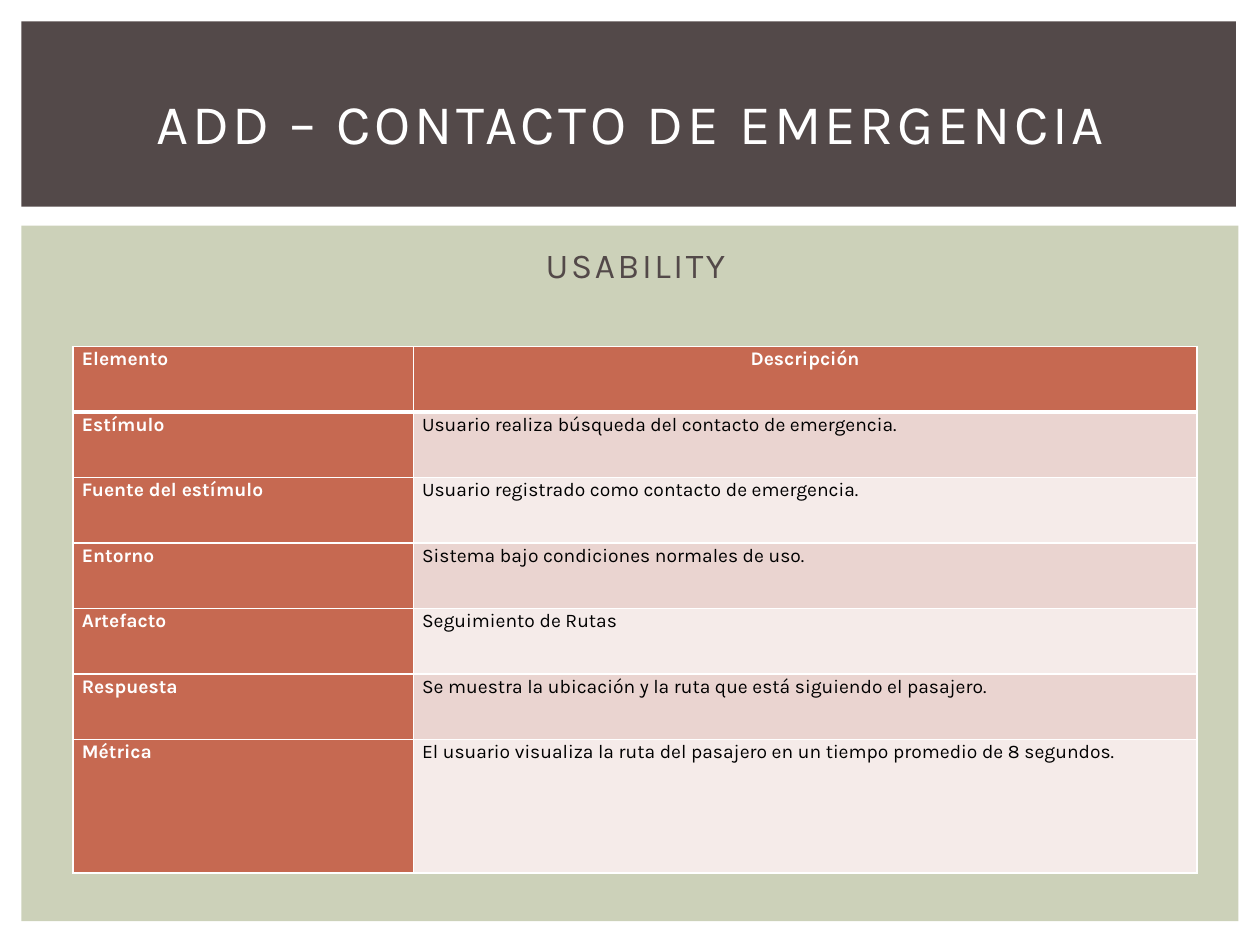
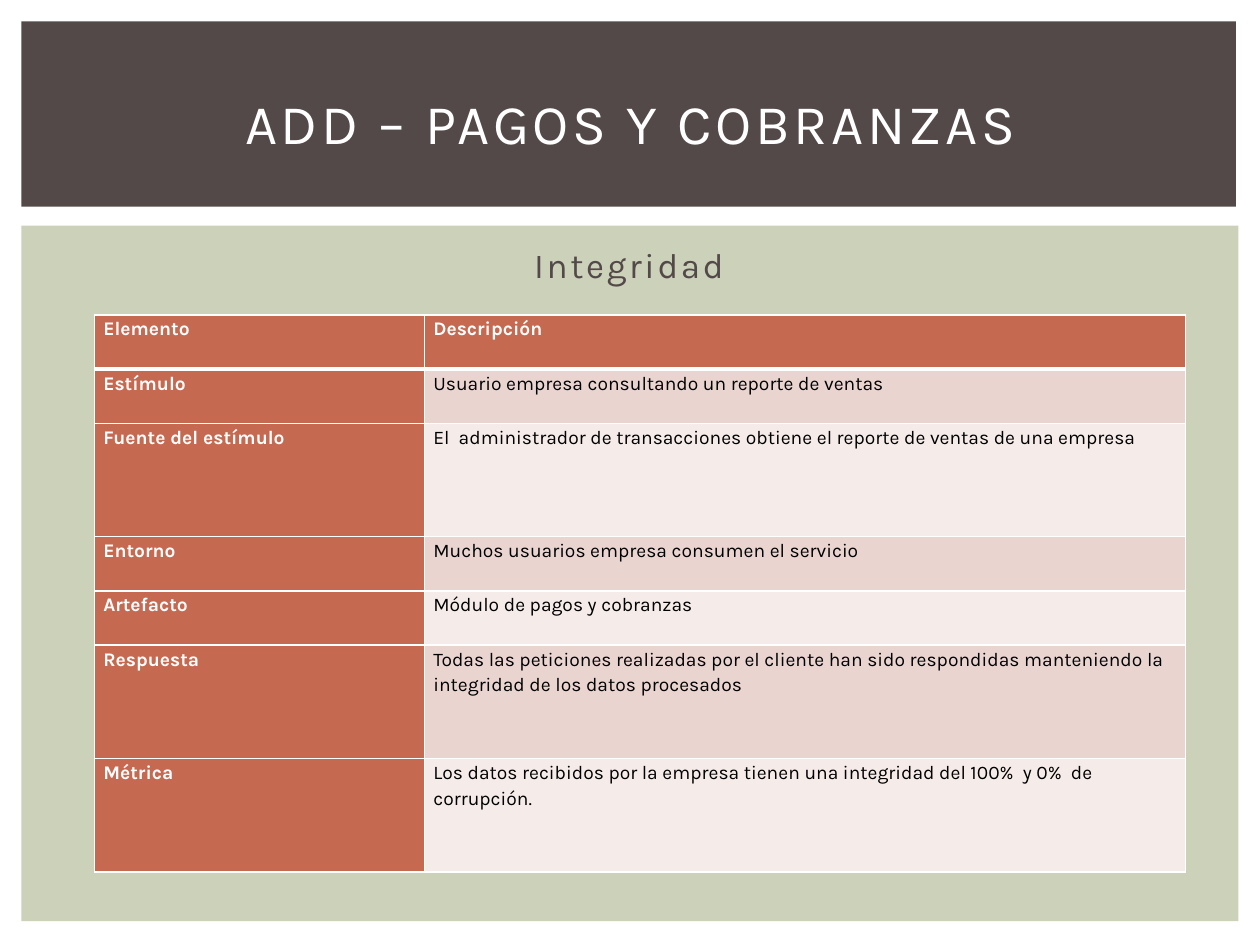
from lxml import etree
from pptx import Presentation
from pptx.dml.color import RGBColor
from pptx.enum.shapes import MSO_SHAPE
from pptx.enum.text import MSO_ANCHOR, MSO_AUTO_SIZE, PP_ALIGN
from pptx.oxml.ns import qn
from pptx.util import Inches, Pt

RECTANGLE = MSO_SHAPE.RECTANGLE
LEFT, CENTER = PP_ALIGN.LEFT, PP_ALIGN.CENTER
MIDDLE, TOP = MSO_ANCHOR.MIDDLE, MSO_ANCHOR.TOP
NO_AUTOFIT = MSO_AUTO_SIZE.NONE

TITLE_ONLY = 5
FONT = "Karla"
WHITE, BLACK = "FFFFFF", "000000"
BROWN, GREEN, RUST = "534949", "CCD1B9", "C66951"
ROW_FILLS = ("EAD4D0", "F5EBE9")
THIN, THICK = 1, 3

ELEMENTS = ("Elemento", "Estímulo", "Fuente del estímulo", "Entorno",
            "Artefacto", "Respuesta", "Métrica")


def color(hex_string):
    return RGBColor.from_string(hex_string)


def place(shape, left, top, width, height):
    shape.left, shape.top = Inches(left), Inches(top)
    shape.width, shape.height = Inches(width), Inches(height)


def style_font(paragraph, size, hex_string, bold=False):
    font = paragraph.font
    font.name, font.size, font.bold = FONT, Pt(size), bold
    font.color.rgb = color(hex_string)


def add_band(slide, left, top, width, height, fill):
    band = slide.shapes.add_shape(
        RECTANGLE, Inches(left), Inches(top), Inches(width), Inches(height))
    band.shadow.inherit = False
    band.fill.solid()
    band.fill.fore_color.rgb = color(fill)
    band.line.fill.background()


def write_heading(shape, text, size, hex_string, spacing, anchor, alignment):
    """Write one line of letter-spaced text; spacing is in points."""
    frame = shape.text_frame
    frame.text = text
    frame.auto_size = NO_AUTOFIT
    frame.word_wrap = True
    frame.vertical_anchor = anchor
    paragraph = frame.paragraphs[0]
    paragraph.alignment = alignment
    style_font(paragraph, size, hex_string)
    run_properties = paragraph.runs[0]._r.get_or_add_rPr()
    run_properties.set("spc", str(int(spacing * 100)))


def add_title(slide, text):
    title = slide.shapes.title
    place(title, 0.42, 0.39, 9.17, 1.15)
    write_heading(title, text, 32, WHITE, 2, MIDDLE, CENTER)
    # Bring the title in front of the bands
    title.element.getparent().append(title.element)


def add_subtitle(slide, text, left):
    box = slide.shapes.add_textbox(
        Inches(left), Inches(1.88), Inches(2), Inches(0.45))
    box.text_frame.margin_left = 0
    write_heading(box, text, 20, BROWN, 1.5, TOP, LEFT)


def set_borders(cell, top, bottom):
    cell_properties = cell._tc.get_or_add_tcPr()
    widths = {"a:lnL": THIN, "a:lnR": THIN, "a:lnT": top, "a:lnB": bottom}
    for tag, width in widths.items():
        line = etree.SubElement(cell_properties, qn(tag), w=str(Pt(width)))
        fill = etree.SubElement(line, qn("a:solidFill"))
        etree.SubElement(fill, qn("a:srgbClr"), val=WHITE)


def write_cell(cell, text, fill, text_color, bold, line_spacing):
    cell.margin_left = cell.margin_right = Inches(0.07)
    cell.margin_top = cell.margin_bottom = 0
    cell.fill.solid()
    cell.fill.fore_color.rgb = color(fill)
    cell.text = text
    paragraph = cell.text_frame.paragraphs[0]
    paragraph.line_spacing = line_spacing
    style_font(paragraph, 11, text_color, bold)


def add_scenario_table(slide, left, top, column_widths, row_heights,
                       descriptions, line_spacing, header_alignment=LEFT):
    table = slide.shapes.add_table(
        len(ELEMENTS), 2, Inches(left), Inches(top),
        Inches(sum(column_widths)), Inches(sum(row_heights))).table
    for column, width in zip(table.columns, column_widths):
        column.width = Inches(width)
    rows = zip(ELEMENTS, ("Descripción", *descriptions), row_heights)
    for index, (element, description, height) in enumerate(rows):
        table.rows[index].height = Inches(height)
        is_header = index == 0
        for column, text in enumerate((element, description)):
            cell = table.cell(index, column)
            set_borders(cell, THICK if index == 1 else THIN,
                        THICK if is_header else THIN)
            if is_header or column == 0:
                write_cell(cell, text, RUST, WHITE, True, line_spacing)
            else:
                write_cell(cell, text, ROW_FILLS[(index - 1) % 2], BLACK,
                           False, line_spacing)
    table.cell(0, 1).text_frame.paragraphs[0].alignment = header_alignment


def add_scenario_slide(presentation, title, subtitle, subtitle_left):
    slide = presentation.slides.add_slide(
        presentation.slide_layouts[TITLE_ONLY])
    add_band(slide, 0.17, 1.79, 9.66, 5.52, GREEN)
    add_band(slide, 0.17, 0.17, 9.64, 1.47, BROWN)
    add_title(slide, title)
    add_subtitle(slide, subtitle, subtitle_left)
    return slide


def main():
    presentation = Presentation()
    presentation.slide_width = Inches(10)
    presentation.slide_height = Inches(7.5)

    contact = add_scenario_slide(
        presentation, "ADD – CONTACTO DE EMERGENCIA", "USABILITY", 4.33)
    add_scenario_table(
        contact, 0.58, 2.75, (2.7, 6.22), [0.52] * 6 + [1.06],
        ("Usuario realiza búsqueda del contacto de emergencia.",
         "Usuario registrado como contacto de emergencia.",
         "Sistema bajo condiciones normales de uso.",
         "Seguimiento de Rutas",
         "Se muestra la ubicación y la ruta que está siguiendo el pasajero.",
         "El usuario visualiza la ruta del pasajero en un tiempo promedio "
         "de 8 segundos."),
        1.07, CENTER)

    payments = add_scenario_slide(
        presentation, "ADD – PAGOS Y COBRANZAS", "Integridad", 4.24)
    add_scenario_table(
        payments, 0.75, 2.5, (2.62, 6.04),
        (0.43, 0.43, 0.9, 0.43, 0.43, 0.9, 0.9),
        ("Usuario empresa consultando un reporte de ventas",
         "El  administrador de transacciones obtiene el reporte de ventas "
         "de una empresa",
         "Muchos usuarios empresa consumen el servicio",
         "Módulo de pagos y cobranzas",
         "Todas las peticiones realizadas por el cliente han sido "
         "respondidas manteniendo la integridad de los datos procesados",
         "Los datos recibidos por la empresa tienen una integridad del "
         "100%  y 0%  de corrupción."),
        1.15)

    presentation.save("out.pptx")


if __name__ == "__main__":
    main()
